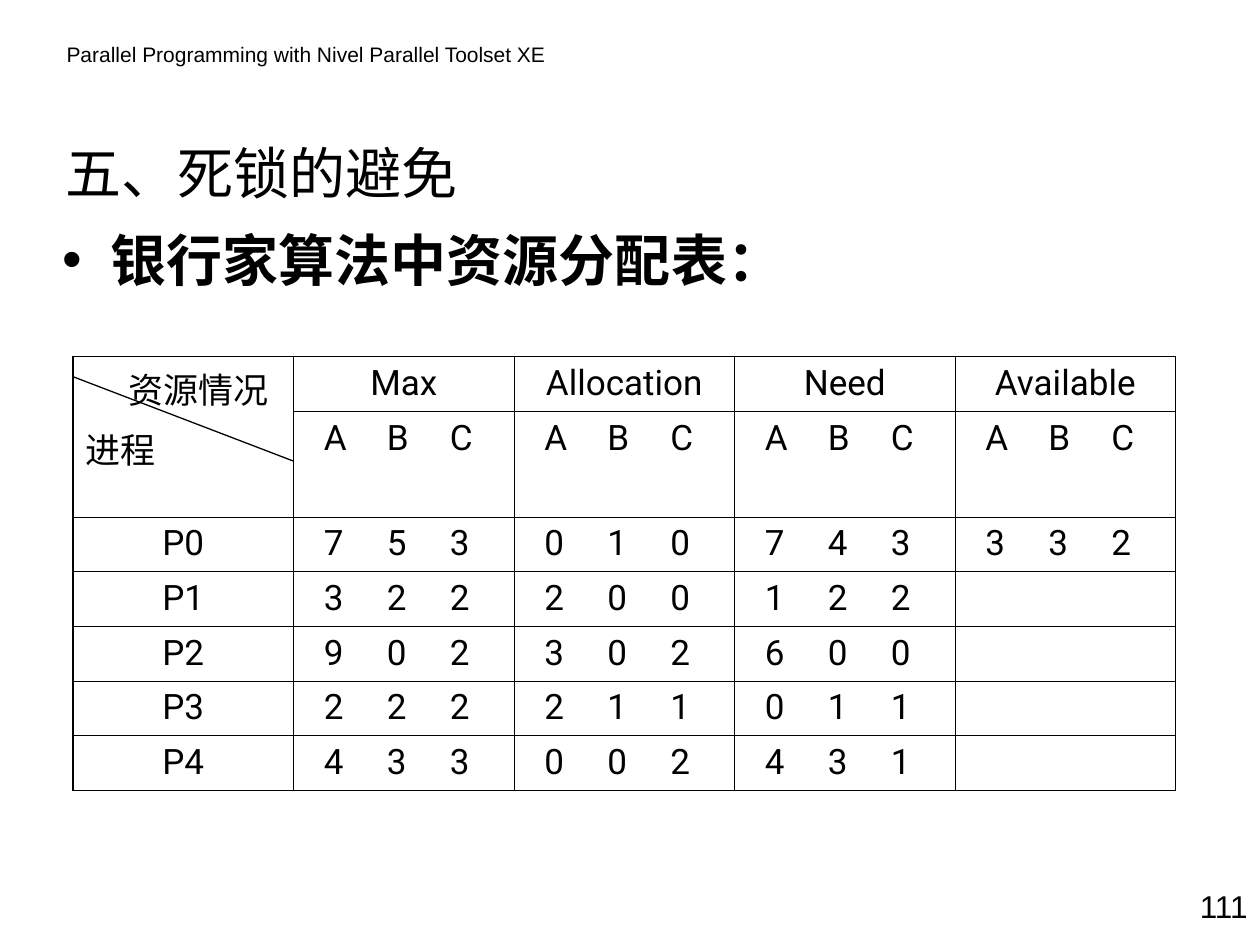
"""Build the slide with the banker's algorithm resource allocation table."""
from lxml.etree import SubElement
from pptx import Presentation
from pptx.dml.color import RGBColor
from pptx.enum.shapes import MSO_CONNECTOR
from pptx.enum.text import MSO_ANCHOR, PP_ALIGN
from pptx.oxml.ns import qn
from pptx.util import Inches, Pt

BLACK = RGBColor(0, 0, 0)
CHINESE_FONT = "Noto Sans CJK SC"
THIN, THICK = 0.45, 1.08


def write_text(frame, text, size=20, font="Roboto", bold=False,
               align=PP_ALIGN.LEFT, before=0, indent=0, bullet=None, tabs=()):
    para = frame.paragraphs[0] if not frame.text else frame.add_paragraph()
    para.alignment = align
    para.space_before = Pt(before)
    properties = para._p.get_or_add_pPr()
    properties.set("marL", str(Inches(indent)))
    properties.set("indent", str(Inches(-indent if bullet else 0)))
    if bullet:
        SubElement(properties, qn("a:buFont"), typeface="Arial")
        SubElement(properties, qn("a:buChar"), char=bullet)
    if tabs:
        tab_list = SubElement(properties, qn("a:tabLst"))
        for position in tabs:
            SubElement(tab_list, qn("a:tab"), pos=str(Inches(position)), algn="l")
    span = para.add_run()
    span.text = text
    span.font.size = Pt(size)
    span.font.name = font
    span.font.bold = bold
    span.font.color.rgb = BLACK
    SubElement(span._r.get_or_add_rPr(), qn("a:ea"), typeface=CHINESE_FONT)


def set_borders(cell, **widths):
    properties = cell._tc.get_or_add_tcPr()
    for side in ("lnL", "lnR", "lnT", "lnB"):
        line = SubElement(properties, qn(f"a:{side}"), w=str(Pt(widths[side])))
        fill = SubElement(line, qn("a:solidFill"))
        SubElement(fill, qn("a:srgbClr"), val=str(BLACK))


deck = Presentation()
deck.slide_width, deck.slide_height = Inches(10), Inches(7.5)
page = deck.slides.add_slide(deck.slide_layouts[5])

title = page.shapes.title
title.left, title.top = Inches(0.42), Inches(0.99)
title.width, title.height = Inches(9), Inches(0.75)
title.text_frame.vertical_anchor = MSO_ANCHOR.MIDDLE
write_text(title.text_frame, "五、死锁的避免", size=32, font=CHINESE_FONT)

header = page.shapes.add_textbox(Inches(0.43), Inches(0.28), Inches(4.1), Inches(0.3))
header.text_frame.word_wrap = True
write_text(header.text_frame, "Parallel Programming with Nivel Parallel Toolset XE",
           size=12, font="Arial")

body = page.shapes.add_textbox(Inches(0.5), Inches(1.74), Inches(9.5), Inches(0.92))
body.text_frame.word_wrap = True
body.text_frame.margin_left = body.text_frame.margin_right = 0
write_text(body.text_frame, "银行家算法中资源分配表：", size=32, font=CHINESE_FONT,
           bold=True, indent=0.38, bullet="•")

number = page.shapes.add_textbox(Inches(9.08), Inches(6.99), Inches(0.92), Inches(0.4))
number.text_frame.word_wrap = True
write_text(number.text_frame, "111", size=18, font="Arial", align=PP_ALIGN.RIGHT)

rows = [
    ["", "Max", "Allocation", "Need", "Available"],
    ["", "ABC", "ABC", "ABC", "ABC"],
    ["P0", "753", "010", "743", "332"],
    ["P1", "322", "200", "122", ""],
    ["P2", "902", "302", "600", ""],
    ["P3", "222", "211", "011", ""],
    ["P4", "433", "002", "431", ""],
]
last_row, last_column = len(rows) - 1, len(rows[0]) - 1
table = page.shapes.add_table(len(rows), len(rows[0]), Inches(0.58), Inches(2.83),
                              Inches(8.75), Inches(3.04)).table
table.first_row = table.horz_banding = False
for column in table.columns:
    column.width = Inches(1.75)
for row_index, row in enumerate(rows):
    table.rows[row_index].height = Inches(0.84 if row_index == 1 else 0.43)
    for column_index, text in enumerate(row):
        cell = table.cell(row_index, column_index)
        set_borders(cell,
                    lnL=THICK if column_index == 0 else THIN,
                    lnR=THICK if column_index == last_column else THIN,
                    lnT=THICK if row_index == 0 else THIN,
                    lnB=THICK if row_index == last_row else THIN)
        cell.fill.background()
        if row_index == 0 or column_index == 0:
            if text:
                write_text(cell.text_frame, text, align=PP_ALIGN.CENTER)
        elif text:
            cell.margin_left = Inches(0.24)
            gap = 0.46 if row_index == 1 else 0.43
            write_text(cell.text_frame, "\t".join(text), tabs=(gap, 2 * gap))

corner = table.cell(0, 0)
corner.merge(table.cell(1, 0))
write_text(corner.text_frame, "资源情况", indent=0.34)
write_text(corner.text_frame, "进程", before=5)

diagonal = page.shapes.add_connector(MSO_CONNECTOR.STRAIGHT, Inches(0.58), Inches(2.99),
                                     Inches(2.33), Inches(3.66))
diagonal.line.color.rgb = BLACK
diagonal.line.width = Pt(0.75)
SubElement(diagonal._element.spPr, qn("a:effectLst"))

deck.save("out.pptx")
